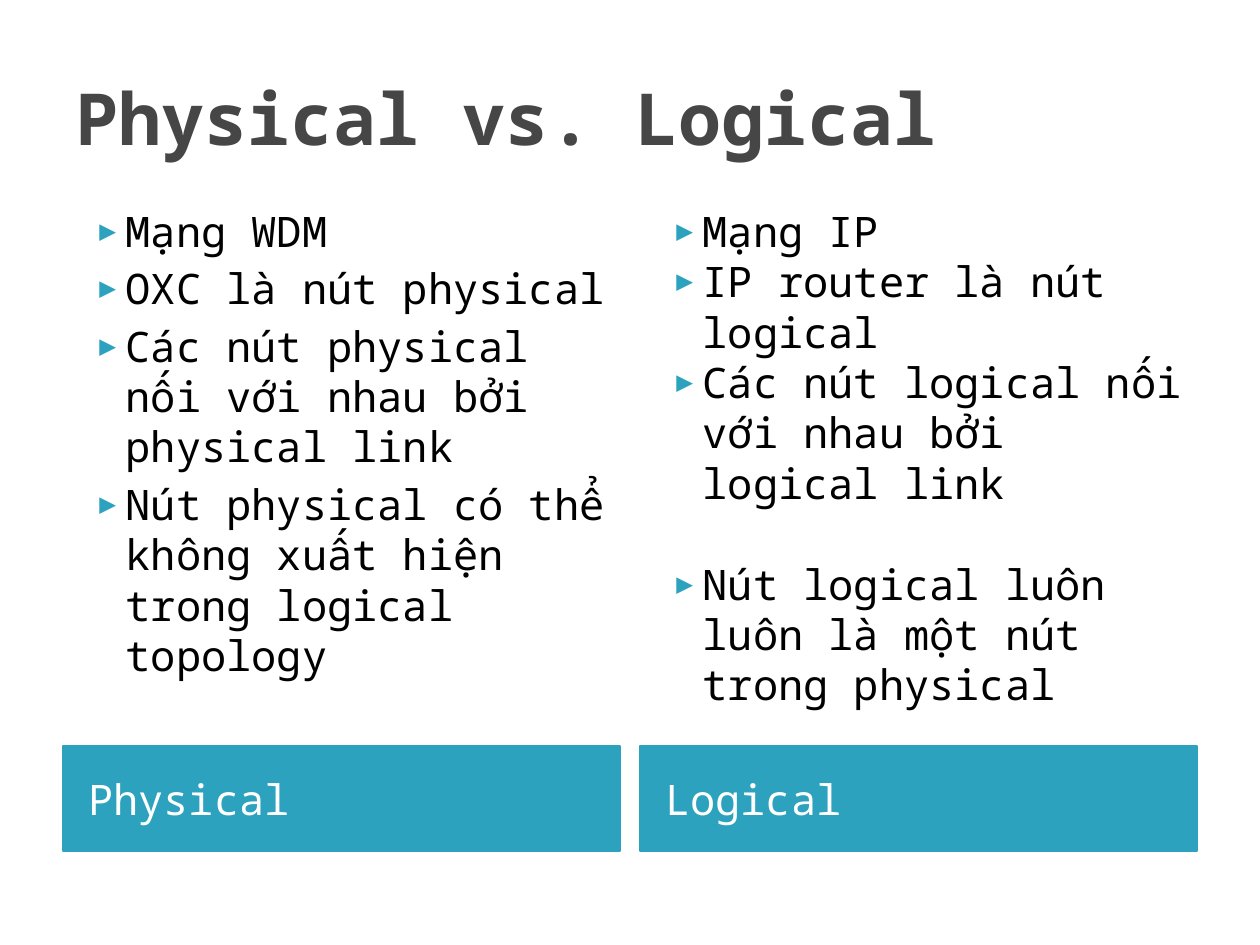
"""Build a slide that compares physical and logical network nodes."""
from dataclasses import dataclass

from lxml.etree import SubElement
from pptx import Presentation
from pptx.dml.color import RGBColor
from pptx.enum.text import MSO_ANCHOR, MSO_AUTO_SIZE, PP_ALIGN
from pptx.oxml.ns import qn
from pptx.util import Pt

TITLE = "Physical vs. Logical"
COLUMNS = [
    {"label": "Physical", "before": [4, 4, 4, 4], "items": [
        "Mạng WDM",
        "OXC là nút physical",
        "Các nút physical nối với nhau bởi physical link",
        "Nút physical có thể không xuất hiện trong logical topology",
    ]},
    {"label": "Logical", "before": [0, 0, 0, 28.8], "items": [
        "Mạng IP",
        "IP router là nút logical",
        "Các nút logical nối với nhau bởi logical link",
        "Nút logical luôn luôn là một nút trong physical",
    ]},
]


@dataclass(frozen=True)
class Theme:
    """Colours and type of the slide."""
    font: str = "Noto Sans Mono"
    head: str = "464646"
    accent: str = "2DA2BF"
    ink: str = "000000"
    paper: str = "FFFFFF"
    big: int = 41
    small: int = 24


THEME = Theme()
UNIT = 914400 / 126
LEFT, WIDTH, GAP = 63, 1134, 20
HALF = (WIDTH - GAP) // 2
HEAD_TOP, HEAD_HIGH = 38, 157
LIST_TOP, LIST_HIGH = 199, 543
BAR_TOP, BAR_HIGH = 746, 105
INDENT, HANG, INSET = 50, 35, 25


def px(count):
    """Turn px into EMU."""
    return round(count * UNIT)


def place(shape, left, top, width, height):
    """Move and size a shape."""
    shape.left, shape.top = px(left), px(top)
    shape.width, shape.height = px(width), px(height)


def style(shape, size, ink, anchor, bold=False):
    """Format all text of a shape."""
    frame = shape.text_frame
    frame.word_wrap = True
    frame.auto_size = MSO_AUTO_SIZE.NONE
    frame.vertical_anchor = anchor
    for line in frame.paragraphs:
        line.alignment = PP_ALIGN.LEFT
        for run in line.runs:
            run.font.name = THEME.font
            run.font.size = Pt(size)
            run.font.bold = bold
            run.font.color.rgb = RGBColor.from_string(ink)


def bullet(line):
    """Give a paragraph an accent arrow and a hanging indent."""
    props = line._p.get_or_add_pPr()
    props.set("marL", str(px(INDENT)))
    props.set("indent", str(-px(HANG)))
    tint = SubElement(props, qn("a:buClr"))
    SubElement(tint, qn("a:srgbClr"), val=THEME.accent)
    SubElement(props, qn("a:buSzPct"), val="68000")
    SubElement(props, qn("a:buFont"), typeface=THEME.font)
    SubElement(props, qn("a:buChar"), char="▶")


def fill_bar(bar, label, left):
    """Set the label bar under a column."""
    place(bar, left, BAR_TOP, HALF, BAR_HIGH)
    accent = RGBColor.from_string(THEME.accent)
    bar.fill.solid()
    bar.fill.fore_color.rgb = accent
    bar.line.color.rgb = accent
    bar.line.width = Pt(0.75)
    bar.text_frame.text = label
    bar.text_frame.margin_left = px(INSET)
    bar.text_frame.paragraphs[0].space_before = Pt(4)
    style(bar, THEME.small, THEME.paper, MSO_ANCHOR.MIDDLE)


def fill_list(body, column, left):
    """Set the bullet list of a column."""
    place(body, left, LIST_TOP, HALF, LIST_HIGH)
    body.text_frame.text = "\n".join(column["items"])
    style(body, THEME.small, THEME.ink, MSO_ANCHOR.TOP)
    for line, space in zip(body.text_frame.paragraphs, column["before"]):
        line.space_before = Pt(space)
        bullet(line)


def main():
    """Build and save the slide."""
    deck = Presentation()
    deck.slide_width, deck.slide_height = px(1260), px(945)
    slide = deck.slides.add_slide(deck.slide_layouts.get_by_name("Comparison"))
    title = slide.shapes.title
    place(title, LEFT, HEAD_TOP, WIDTH, HEAD_HIGH)
    title.text_frame.text = TITLE
    style(title, THEME.big, THEME.head, MSO_ANCHOR.MIDDLE, True)
    holders = {item.placeholder_format.idx: item for item in slide.placeholders}
    for order, column in enumerate(COLUMNS):
        left = LEFT + order * (HALF + GAP)
        fill_bar(holders[2 * order + 1], column["label"], left)
        fill_list(holders[2 * order + 2], column, left)
    for idx in (10, 11, 12):
        if idx in holders:
            holders[idx].element.getparent().remove(holders[idx].element)
    deck.save("out.pptx")


if __name__ == "__main__":
    main()
